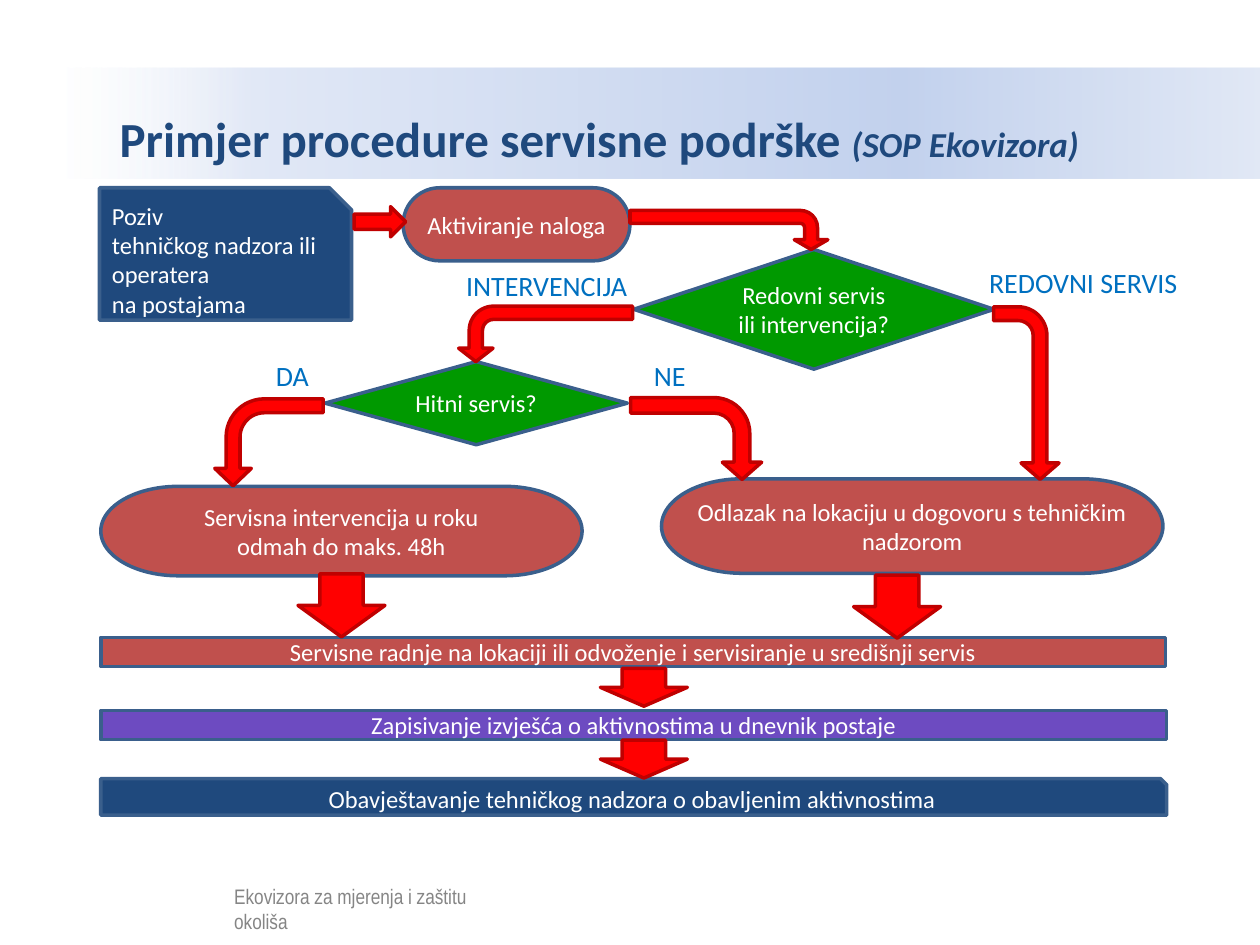
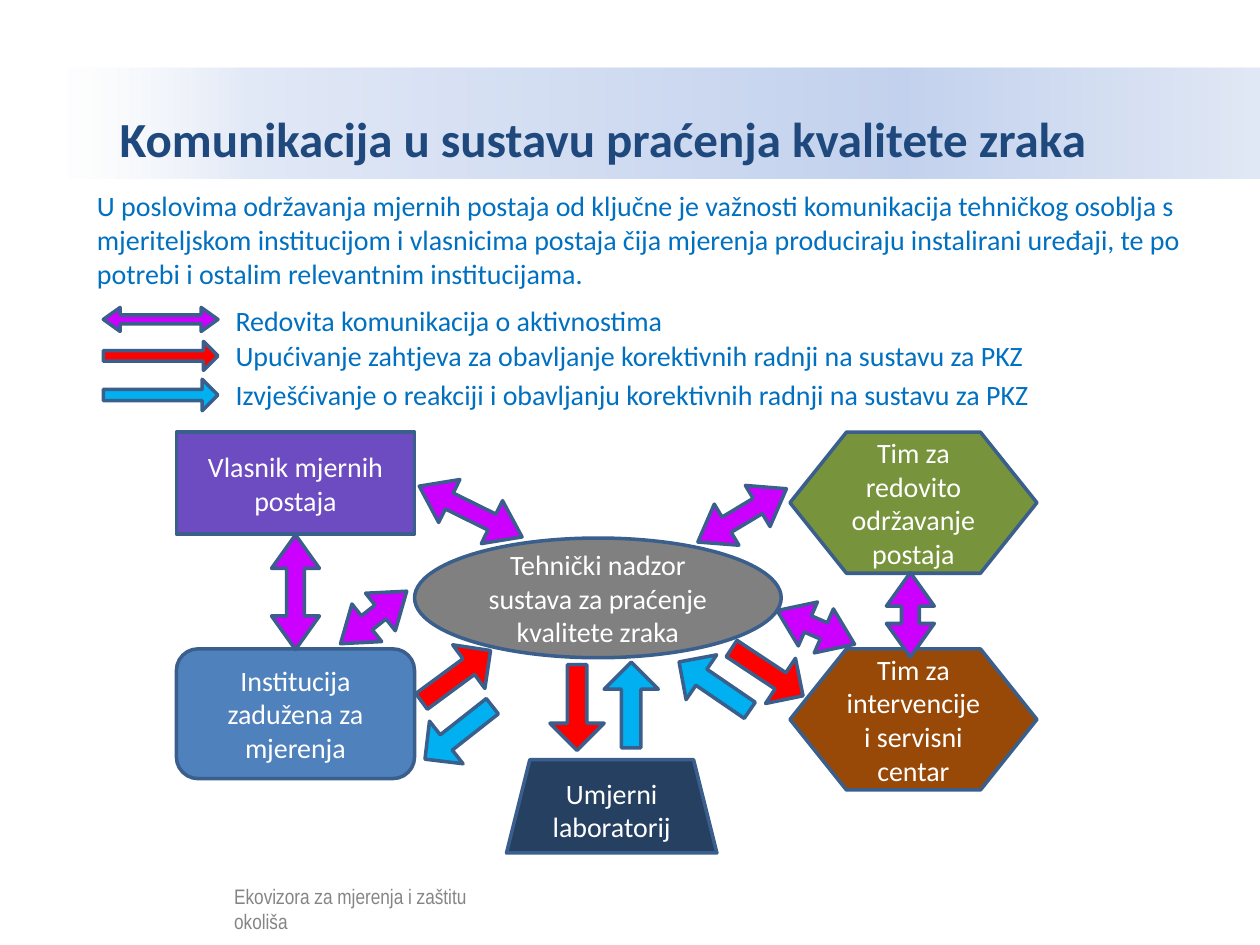
from lxml import etree
from pptx import Presentation
from pptx.dml.color import RGBColor as RGB
from pptx.enum.shapes import MSO_SHAPE as Kind
from pptx.enum.text import MSO_ANCHOR as Anchor, MSO_AUTO_SIZE as Fit, PP_ALIGN as Align
from pptx.oxml import parse_xml
from pptx.oxml.ns import nsdecls, qn
from pptx.util import Pt

PX = 9144  # 100 px to the inch
FONT = "Calibri"
HEX = {
    "navy": "1F497D", "edge": "3A5F8C", "red": "FF0000", "dark red": "C00000",
    "brick": "C0504D", "green": "009900", "violet": "6D4BC1", "blue": "0070C0",
    "white": "FFFFFF", "black": "000000", "grey": "808080", "steel": "4F81BD",
    "olive": "77933C", "brown": "984807", "ink": "254061", "pink": "CC00FF",
    "sky": "00B0F0",
}
# Title band: position, colour, opacity in percent
STOPS = [(0, "FFFFFF", 52), (16, "E1E8F6", 100), (70, "C2D1ED", 100), (100, "E1E8F5", 100)]


def draw(slide, kind, box, fill, edge="edge", text="", size=14, align=Align.CENTER,
         turn=0, adj=(), flip=False):
    shape = slide.shapes.add_shape(kind, *[n * PX for n in box])
    shape.shadow.inherit = False
    shape.fill.solid()
    shape.fill.fore_color.rgb = RGB.from_string(HEX[fill])
    if edge:
        shape.line.color.rgb = RGB.from_string(HEX[edge])
        shape.line.width = Pt(2)
    else:
        shape.line.fill.background()
    shape.rotation = turn
    for i, value in enumerate(adj):
        shape.adjustments[i] = value
    if flip:
        shape.element.spPr.find(qn("a:xfrm")).set("flipV", "1")
    if text:
        shape.text_frame.text = text
        for para in shape.text_frame.paragraphs:
            para.alignment = align
            para.font.size = Pt(size)
            para.font.name = FONT
            para.font.color.rgb = RGB.from_string(HEX["white"])
    return shape


def label(slide, box, text, size=16, color="blue", font=FONT, left=60):
    frame = slide.shapes.add_textbox(*[n * PX for n in box]).text_frame
    frame.word_wrap = True
    frame.margin_left = left * PX
    frame.text = text
    run = frame.paragraphs[0].runs[0]
    run.font.size = Pt(size)
    run.font.name = font
    run.font.color.rgb = RGB.from_string(HEX[color])


deck = Presentation()
deck.slide_width, deck.slide_height = 1000 * PX, 750 * PX

# Shared title band and footer
heads = [
    [("Primjer procedure servisne podrške ", 28), ("(SOP Ekovizora)", 20)],
    [("Komunikacija u sustavu praćenja kvalitete zraka", 28)],
]
for head in heads:
    slide = deck.slides.add_slide(deck.slide_layouts[5])
    title = slide.shapes.title
    title.left, title.top, title.width, title.height = [n * PX for n in (50, 54, 950, 88)]
    grad = parse_xml(f'<a:gradFill {nsdecls("a")} rotWithShape="1"><a:gsLst/>'
                     '<a:lin ang="0" scaled="1"/></a:gradFill>')
    for pos, color, alpha in STOPS:
        stop = etree.SubElement(grad[0], qn("a:gs"), pos=str(pos * 1000))
        tint = etree.SubElement(stop, qn("a:srgbClr"), val=color)
        etree.SubElement(tint, qn("a:alpha"), val=str(alpha * 1000))
    title.element.spPr.append(grad)
    frame = title.text_frame
    frame.auto_size = Fit.NONE
    frame.word_wrap = True
    frame.vertical_anchor = Anchor.MIDDLE
    frame.margin_left = 45 * PX
    para = frame.paragraphs[0]
    para.alignment = Align.LEFT
    para.line_spacing = 1.5
    for text, size in head:
        run = para.add_run()
        run.text = text
        run.font.size = Pt(size)
        run.font.name = FONT
        run.font.bold = True
        run.font.italic = size < 28
        run.font.color.rgb = RGB.from_string(HEX["navy"])

    label(slide, (176, 696, 209, 25), "Ekovizora za mjerenja i zaštitu okoliša",
          12, "black", "Arial Narrow", 10)
    veil = draw(slide, Kind.RECTANGLE, (41, 693, 382, 48), "white", None)
    tint = veil.element.spPr.find(qn("a:solidFill"))[0]
    etree.SubElement(tint, qn("a:alpha"), val="52000")

flow, talk = deck.slides

# Slide 1: steps of the procedure
draw(flow, Kind.SNIP_1_RECTANGLE, (79, 149, 200, 105), "navy", align=Align.LEFT,
     text="Poziv\ntehničkog nadzora ili operatera\nna postajama")
steps = [
    (Kind.FLOWCHART_DECISION, (503, 198, 286, 95), "green", "Redovni servis ili intervencija?"),
    (Kind.FLOWCHART_DECISION, (258, 287, 240, 66), "green", "Hitni servis?"),
    (Kind.FLOWCHART_TERMINATOR, (320, 149, 180, 58), "brick", "Aktiviranje naloga"),
    (Kind.FLOWCHART_TERMINATOR, (80, 386, 382, 71), "brick",
     "Servisna intervencija u roku\nodmah do maks. 48h"),
    (Kind.FLOWCHART_TERMINATOR, (525, 380, 398, 75), "brick",
     "Odlazak na lokaciju u dogovoru s tehničkim nadzorom"),
    (Kind.FLOWCHART_PROCESS, (80, 506, 845, 23), "brick",
     "Servisne radnje na lokaciji ili odvoženje i servisiranje u središnji servis"),
    (Kind.FLOWCHART_PROCESS, (80, 564, 846, 23), "violet",
     "Zapisivanje izvješća o aktivnostima u dnevnik postaje"),
    (Kind.SNIP_1_RECTANGLE, (80, 618, 846, 29), "navy",
     "Obavještavanje tehničkog nadzora o obavljenim aktivnostima"),
]
for kind, box, fill, text in steps:
    draw(flow, kind, box, fill, text=text)

# Straight arrows
draw(flow, Kind.RIGHT_ARROW, (281, 164, 41, 24), "red", "dark red")
for box in [(246, 446, 50, 69), (687, 447, 50, 69), (496, 511, 30, 69), (496, 568, 30, 69)]:
    draw(flow, Kind.RIGHT_ARROW, box, "red", "dark red", turn=90)

# Bent arrows: box, shape settings, mirrored to the left
bends = [
    ((563, 104, 31, 157), (0.33, 0.43, 0.25, 0.44), False),
    ((411, 196, 44, 138), (0.24, 0.31, 0.24, 0.44), True),
    ((746, 286, 137, 52), (0.21, 0.29, 0.25, 0.44), False),
    ((179, 308, 69, 86), (0.16, 0.21, 0.2, 0.44), True),
    ((520, 296, 65, 104), (0.19, 0.24, 0.21, 0.44), False),
]
for box, adj, flip in bends:
    draw(flow, Kind.BENT_ARROW, box, "red", "dark red", turn=90, adj=adj, flip=flip)

# Branch names
for x, y, wide, text in [(310, 208, 226, "INTERVENCIJA"), (725, 206, 235, "REDOVNI SERVIS"),
                         (159, 280, 140, "DA"), (459, 280, 140, "NE")]:
    label(flow, (x, y, wide, 37), text)

# Slide 2: introduction
label(talk, (17, 145, 950, 91),
      "U poslovima održavanja mjernih postaja od ključne je važnosti komunikacija "
      "tehničkog osoblja s mjeriteljskom institucijom i vlasnicima postaja čija mjerenja "
      "produciraju instalirani uređaji, te po potrebi i ostalim relevantnim institucijama.")

# Parties
parties = [
    (Kind.RECTANGLE, (140, 343, 189, 81), "violet", (), "Vlasnik mjernih postaja"),
    (Kind.ROUNDED_RECTANGLE, (140, 515, 189, 103), "steel", (), "Institucija zadužena za mjerenja"),
    (Kind.OVAL, (329, 427, 291, 95), "grey", (),
     "Tehnički nadzor sustava za praćenje kvalitete zraka"),
    (Kind.HEXAGON, (627, 343, 196, 112), "olive", (0.4,), "Tim za redovito održavanje postaja"),
    (Kind.HEXAGON, (627, 515, 196, 112), "brown", (0.4,), "Tim za intervencije i servisni centar"),
    (Kind.TRAPEZOID, (402, 603, 167, 74), "ink", (), "Umjerni laboratorij"),
]
for kind, box, fill, adj, text in parties:
    draw(talk, kind, box, fill, text=text, size=16, adj=adj)

# Arrow styles: kind, settings
both = (Kind.LEFT_RIGHT_ARROW, (0.37, 0.7))
one = (Kind.RIGHT_ARROW, (0.36, 0.5))

# Legend
keys = [
    (both, "pink", 244, 19, 236, "Redovita komunikacija o aktivnostima"),
    (one, "red", 271, 23, 264,
     "Upućivanje zahtjeva za obavljanje korektivnih radnji na sustavu za PKZ"),
    (one, "sky", 301, 25, 295,
     "Izvješćivanje o reakciji i obavljanju korektivnih radnji na sustavu za PKZ"),
]
for (kind, adj), fill, y, high, top, text in keys:
    draw(talk, kind, (82, y, 91, high), fill, adj=adj)
    label(talk, (127, top, 926, 37), text)

# Links between parties: style, fill, height, then left, top, width, angle
links = [
    (both, "pink", 38, [(189, 451, 91, 90), (328, 387, 91, 26.3), (548, 390, 82, 149),
                        (689, 469, 67, 90), (614, 479, 67, 23.5), (263, 471, 67, 141.6)]),
    (one, "red", 43, [(328, 515, 68, 323.6), (575, 512, 68, 33.5), (424, 540, 68, 90)]),
    (one, "sky", 43, [(467, 538, 68, 270), (533, 523, 68, 214.4), (330, 560, 68, 141.8)]),
]
for (kind, adj), fill, high, spots in links:
    for x, y, wide, turn in spots:
        draw(talk, kind, (x, y, wide, high), fill, turn=turn, adj=adj)

deck.save("out.pptx")
